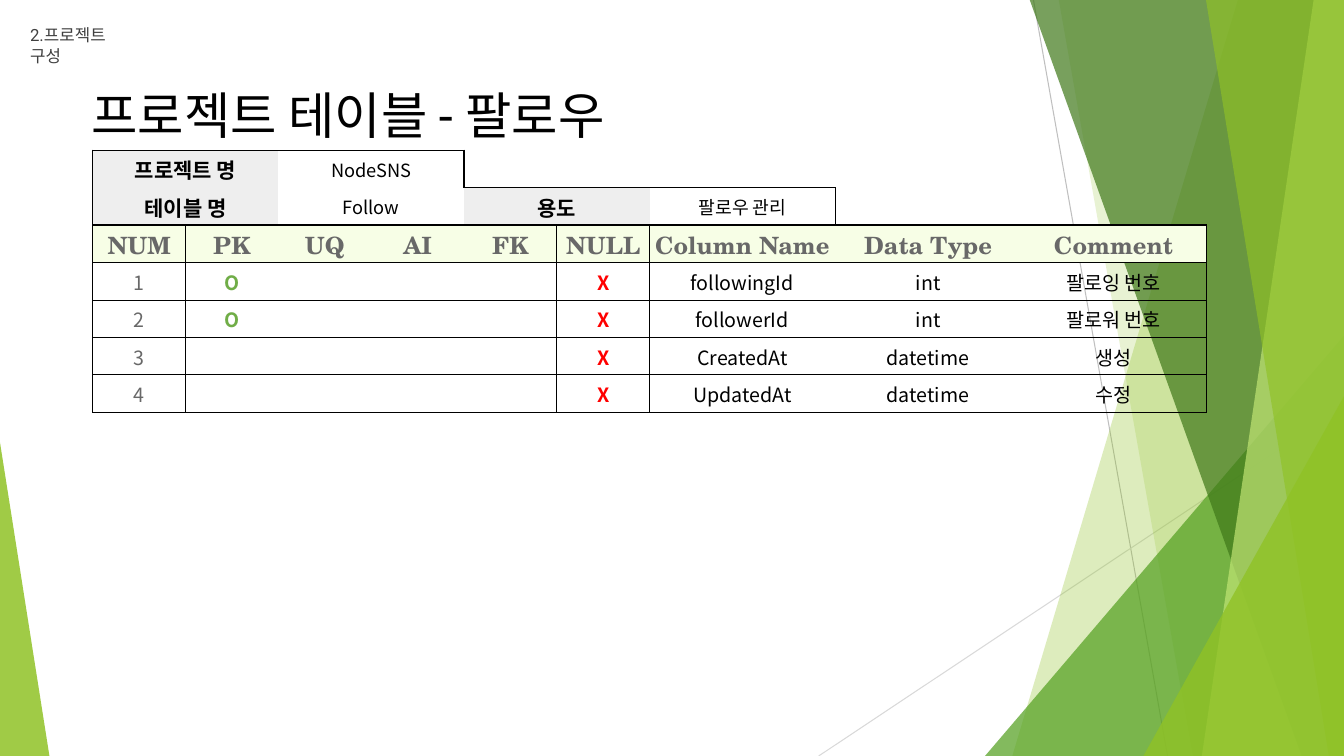
from collections import namedtuple
from dataclasses import dataclass

from lxml import etree
from pptx import Presentation
from pptx import util as u
from pptx.dml.color import RGBColor
from pptx.enum import shapes, text
from pptx.oxml import ns

PX = 9144  # EMU per px, 100 px to the inch
Box = namedtuple("Box", "x y w h")
Style = namedtuple("Style", "size font color bold")


@dataclass(frozen=True)
class Theme:
    lime: str = "90C226"
    pale_lime: str = "C0E474"
    green: str = "54A021"
    forest: str = "3F7819"
    ray: str = "BFBFBF"
    pale_ray: str = "D9D9D9"
    border: str = "000000"
    label_fill: str = "EEEEEE"
    header_fill: str = "F7FEE6"
    hangul: str = "Noto Sans CJK KR"
    no_table_style: str = "{2D5ABB26-0587-4C30-8999-92F81FD0307C}"
    title: Style = Style(36, "Roboto", "000000", False)
    section: Style = Style(12, "Roboto", "404040", False)
    label: Style = Style(15, "Noto Sans CJK KR", "000000", True)
    table_label: Style = Style(15, "Roboto", "000000", True)
    value: Style = Style(13, "Noto Sans CJK KR", "000000", False)
    header: Style = Style(17, "TeX Gyre Schola", "686868", True)
    number: Style = Style(14, "Noto Sans CJK KR", "686868", False)
    yes: Style = Style(14, "Noto Sans CJK KR", "70AD47", True)
    no: Style = Style(14, "Noto Sans CJK KR", "FF0000", True)
    body: Style = Style(14, "Noto Sans CJK KR", "000000", False)


THEME = Theme()


def emu(box):
    return [round(side * PX) for side in box]


def write(paragraph, words, style):
    run = paragraph.add_run()
    run.text = words
    font = run.font
    font.size, font.name, font.bold = u.Pt(style.size), style.font, style.bold
    font.color.rgb = RGBColor.from_string(style.color)
    latin = font._element.find(ns.qn("a:latin"))
    east_asian = etree.Element(ns.qn("a:ea"), typeface=THEME.hangul)
    latin.addnext(east_asian)


def add_text(slide, box, words, style, anchor):
    frame = slide.shapes.add_textbox(*emu(box)).text_frame
    frame.word_wrap = True
    frame.vertical_anchor = anchor
    write(frame.paragraphs[0], words, style)


def paint(shape, color, opacity):
    shape.shadow.inherit = False
    shape.line.fill.background()
    shape.fill.solid()
    shape.fill.fore_color.rgb = RGBColor.from_string(color)
    rgb = shape.fill._xPr.find(".//" + ns.qn("a:srgbClr"))
    etree.SubElement(rgb, ns.qn("a:alpha"), val=str(opacity * 1000))


def add_ray(slide, start, end, color):
    ray = slide.shapes.add_connector(shapes.MSO_CONNECTOR.STRAIGHT, *emu(start + end))
    ray.line.color.rgb = RGBColor.from_string(color)
    ray.line.width = u.Pt(0.75)
    etree.SubElement(ray._element.spPr, ns.qn("a:effectLst"))


def add_wedge(slide, box, apex, color, opacity):
    """Triangle whose apex lies at the given share of its width."""
    wedge = slide.shapes.add_shape(shapes.MSO_SHAPE.ISOSCELES_TRIANGLE, *emu(box))
    wedge.adjustments[0] = apex
    paint(wedge, color, opacity)


def add_facet(slide, box, top, bottom, color, opacity):
    """Full-height pane from a slanted left edge to the right side of the box."""
    right, low = box.x + box.w, box.y + box.h
    builder = slide.shapes.build_freeform(box.x + top, box.y - 1, scale=PX)
    builder.add_line_segments(
        [(right, box.y - 1), (right, low), (box.x + bottom, low)], close=True)
    paint(builder.convert_to_shape(), color, opacity)


def add_facets(slide, box):
    def corner_wedge(width, height, color, opacity):
        area = Box(box.x + box.w - width, box.y + box.h - height, width, height)
        add_wedge(slide, area, 1, color, opacity)

    low = box.y + box.h
    add_ray(slide, (box.x + 213, box.y), (box.x + 346, low), THEME.ray)
    add_ray(slide, (box.x + box.w, box.y + 403), (box.x, low), THEME.pale_ray)
    add_facet(slide, box, 416, 192, THEME.lime, 30)
    add_facet(slide, box, 238, 371, THEME.lime, 20)
    corner_wedge(356, 417, THEME.green, 72)
    add_facet(slide, box, 209, 479, THEME.forest, 70)
    add_facet(slide, box, 491, 380, THEME.pale_lime, 70)
    add_facet(slide, box, 384, 506, THEME.lime, 65)
    corner_wedge(199, 357, THEME.lime, 80)


COLUMNS = 12
# Each entry: first column, columns spanned, words, style, fill
INFO_ROWS = [
    [(0, 2, "프로젝트 명", THEME.label, THEME.label_fill),
     (2, 2, "NodeSNS", THEME.value, None)],
    [(0, 2, "테이블 명", THEME.table_label, THEME.label_fill),
     (2, 2, "Follow", THEME.value, None),
     (4, 2, "용도", THEME.label, THEME.label_fill),
     (6, 2, "팔로우 관리", THEME.value, None)],
]
FIELDS = [("NUM", 0, 1), ("PK", 1, 1), ("UQ", 2, 1), ("AI", 3, 1), ("FK", 4, 1),
          ("NULL", 5, 1), ("Column Name", 6, 2), ("Data Type", 8, 2), ("Comment", 10, 2)]
RECORDS = [("O", "followingId", "int", "팔로잉 번호"),
           ("O", "followerId", "int", "팔로워 번호"),
           ("", "CreatedAt", "datetime", "생성"),
           ("", "UpdatedAt", "datetime", "수정")]
RECORD_STYLES = [THEME.number] + [THEME.yes] * 4 + [THEME.no] + [THEME.body] * 3


def table_rows():
    header = [(col, span, name, THEME.header, THEME.header_fill)
              for name, col, span in FIELDS]
    records = []
    for number, (key, *details) in enumerate(RECORDS, 1):
        words = [str(number), key, "", "", "", "X", *details]
        records.append([(col, span, word, style, None) for (_, col, span), word, style
                        in zip(FIELDS, words, RECORD_STYLES)])
    return [*INFO_ROWS, header, *records]


# Line widths in points: by row and column edge, and by row edge with its columns
BODY_EDGES = {0: 1, 1: 0.5, 5: 0.5, 6: 0.5, COLUMNS: 1}
VERTICALS = [{0: 1, 4: 1}, {0: 1, 8: 1}] + [BODY_EDGES] * 5
HORIZONTALS = [(range(0, 4), 1), (range(4, 8), 1), (range(COLUMNS), 1),
               *[(range(COLUMNS), 0.5)] * 4, (range(COLUMNS), 1)]


def set_borders(cell, row, col, span):
    def across(edge):
        columns, width = HORIZONTALS[edge]
        return width if col in columns else 0

    widths = {"lnL": VERTICALS[row].get(col, 0), "lnR": VERTICALS[row].get(col + span, 0),
              "lnT": across(row), "lnB": across(row + 1)}
    properties = cell._tc.get_or_add_tcPr()
    for place, (tag, width) in enumerate(widths.items()):
        line = etree.Element(ns.qn("a:" + tag), w=str(u.Pt(width)))
        if width:
            fill = etree.SubElement(line, ns.qn("a:solidFill"))
            etree.SubElement(fill, ns.qn("a:srgbClr"), val=THEME.border)
        else:
            etree.SubElement(line, ns.qn("a:noFill"))
        properties.insert(place, line)


def fill_cell(cell, words, style, fill):
    if fill:
        cell.fill.solid()
        cell.fill.fore_color.rgb = RGBColor.from_string(fill)
    paragraph = cell.text_frame.paragraphs[0]
    paragraph.alignment = text.PP_ALIGN.CENTER
    if words:
        write(paragraph, words, style)


def add_schema_table(slide, box):
    rows = table_rows()
    table = slide.shapes.add_table(len(rows), COLUMNS, *emu(box)).table
    table.first_row = table.horz_banding = False
    table._tbl.tblPr.find(ns.qn("a:tableStyleId")).text = THEME.no_table_style
    for column in table.columns:
        column.width = round(box.w * PX / COLUMNS)
    for r, entries in enumerate(rows):
        table.rows[r].height = round(box.h * PX / len(rows))
        spans = {col: span for col, span, *_ in entries}
        for c in range(COLUMNS):
            cell = table.cell(r, c)
            cell.margin_left = cell.margin_right = cell.margin_top = PX
            cell.margin_bottom = 0
            cell.vertical_anchor = text.MSO_ANCHOR.MIDDLE
            cell.fill.background()
            set_borders(cell, r, c, spans.get(c, 1))
        for col, span, words, style, fill in entries:
            if span > 1:
                table.cell(r, col).merge(table.cell(r, col + span - 1))
            fill_cell(table.cell(r, col), words, style, fill)
        for c in range(COLUMNS):
            paragraph = table.cell(r, c).text_frame.paragraphs[0]
            if not paragraph.runs:
                etree.SubElement(paragraph._p, ns.qn("a:endParaRPr"), sz="1200")


def main():
    deck = Presentation()
    deck.slide_width, deck.slide_height = emu((1333, 750))
    slide = deck.slides.add_slide(deck.slide_layouts[6])
    add_facets(slide, Box(812, 0, 521, 750))
    add_wedge(slide, Box(0, 439, 49, 311), 0, THEME.lime, 85)
    add_text(slide, Box(81, 78, 971, 71), "프로젝트 테이블 - 팔로우", THEME.title,
             text.MSO_ANCHOR.MIDDLE)
    add_schema_table(slide, Box(92, 149, 1105, 260))
    add_text(slide, Box(20, 20, 125, 30), "2.프로젝트 구성", THEME.section,
             text.MSO_ANCHOR.TOP)
    deck.save("out.pptx")


if __name__ == "__main__":
    main()
